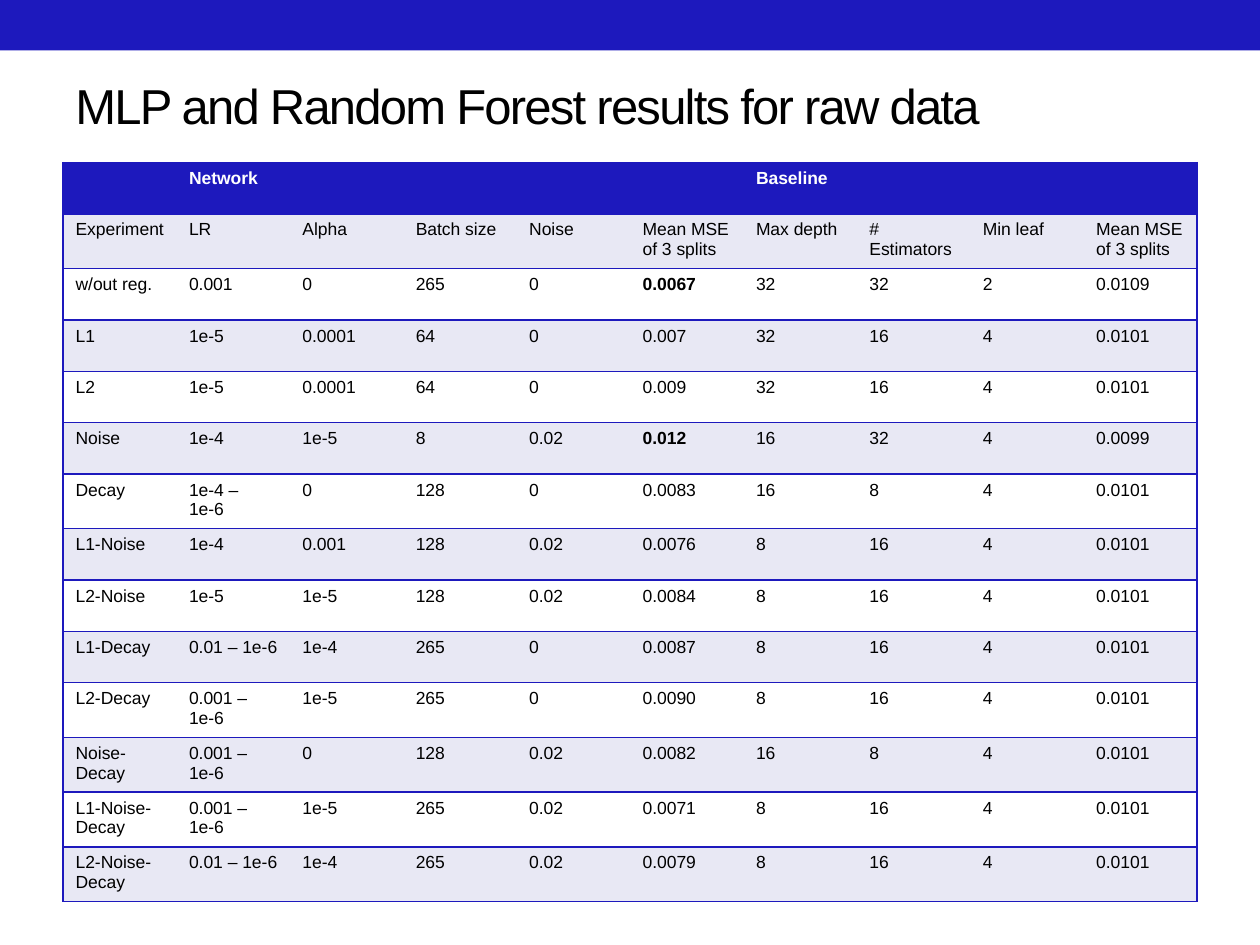
"""Build a slide with a table of MLP and Random Forest results."""
from lxml.etree import SubElement
from pptx import Presentation
from pptx.dml.color import RGBColor
from pptx.enum.shapes import MSO_SHAPE
from pptx.enum.text import MSO_ANCHOR
from pptx.oxml.ns import qn
from pptx.util import Inches, Pt

BLUE = RGBColor(0x1D, 0x19, 0xBD)
LAVENDER = RGBColor(0xE8, 0xE8, 0xF4)
WHITE = RGBColor(0xFF, 0xFF, 0xFF)
BLACK = RGBColor(0x00, 0x00, 0x00)
FONT = "Arial"
NO_STYLE = "{2D5ABB26-0587-4C30-8999-92F81FD0307C}"

GROUPS = [("Network", 1, 5), ("Baseline", 6, 9)]
HEADINGS = ["Experiment", "LR", "Alpha", "Batch size", "Noise", "Mean MSE of 3 splits",
            "Max depth", "# Estimators", "Min leaf", "Mean MSE of 3 splits"]
RESULTS = [
    ["w/out reg.", "0.001", "0", "265", "0", "0.0067", "32", "32", "2", "0.0109"],
    ["L1", "1e-5", "0.0001", "64", "0", "0.007", "32", "16", "4", "0.0101"],
    ["L2", "1e-5", "0.0001", "64", "0", "0.009", "32", "16", "4", "0.0101"],
    ["Noise", "1e-4", "1e-5", "8", "0.02", "0.012", "16", "32", "4", "0.0099"],
    ["Decay", "1e-4 – 1e-6", "0", "128", "0", "0.0083", "16", "8", "4", "0.0101"],
    ["L1-Noise", "1e-4", "0.001", "128", "0.02", "0.0076", "8", "16", "4", "0.0101"],
    ["L2-Noise", "1e-5", "1e-5", "128", "0.02", "0.0084", "8", "16", "4", "0.0101"],
    ["L1-Decay", "0.01 – 1e-6", "1e-4", "265", "0", "0.0087", "8", "16", "4", "0.0101"],
    ["L2-Decay", "0.001 – 1e-6", "1e-5", "265", "0", "0.0090", "8", "16", "4", "0.0101"],
    ["Noise-Decay", "0.001 – 1e-6", "0", "128", "0.02", "0.0082", "16", "8", "4", "0.0101"],
    ["L1-Noise-Decay", "0.001 – 1e-6", "1e-5", "265", "0.02", "0.0071", "8", "16", "4", "0.0101"],
    ["L2-Noise-Decay", "0.01 – 1e-6", "1e-4", "265", "0.02", "0.0079", "8", "16", "4", "0.0101"],
]
HIGHLIGHTS = {"0.0067", "0.012"}


def format_text(text_frame, size, color, bold=False):
    for paragraph in text_frame.paragraphs:
        for run in paragraph.runs:
            run.font.name = FONT
            run.font.size = Pt(size)
            run.font.bold = bold
            run.font.color.rgb = color


def add_banner(slide):
    banner = slide.shapes.add_shape(MSO_SHAPE.RECTANGLE, 0, 0, Inches(10), Inches(0.4))
    banner.shadow.inherit = False
    banner.fill.solid()
    banner.fill.fore_color.rgb = BLUE
    banner.line.fill.background()


def add_title(slide, text):
    title = slide.shapes.add_textbox(Inches(0.5), Inches(0.54), Inches(9), Inches(0.58))
    frame = title.text_frame
    frame.word_wrap = True
    frame.vertical_anchor = MSO_ANCHOR.MIDDLE
    frame.text = text
    format_text(frame, 28, BLACK)
    frame.paragraphs[0].runs[0].font._element.set("spc", "-100")


def set_borders(cell, sides):
    properties = cell._tc.get_or_add_tcPr()
    for side in sides:
        border = SubElement(properties, qn(f"a:ln{side}"), w=str(Pt(1)))
        fill = SubElement(border, qn("a:solidFill"))
        SubElement(fill, qn("a:srgbClr"), val=str(BLUE))


def style_cell(cell, sides, fill, color, bold):
    set_borders(cell, sides)
    cell.fill.solid()
    cell.fill.fore_color.rgb = fill
    format_text(cell.text_frame, 10, color, bold)


def add_results_table(slide):
    group_row = [""] * len(HEADINGS)
    for label, first, _ in GROUPS:
        group_row[first] = label
    rows = [group_row, HEADINGS, *RESULTS]
    last = len(HEADINGS) - 1
    table = slide.shapes.add_table(len(rows), len(HEADINGS), Inches(0.5), Inches(1.29),
                                   Inches(9), Inches(5.71)).table
    table._tbl.tblPr.find(qn("a:tableStyleId")).text = NO_STYLE

    for _, first, end in GROUPS:
        table.cell(0, first).merge(table.cell(0, end))
    for row, values in enumerate(rows):
        is_group = row == 0
        fill = BLUE if is_group else LAVENDER if row % 2 else WHITE
        color = WHITE if is_group else BLACK
        for column, value in enumerate(values):
            cell = table.cell(row, column)
            cell.text = value
            closes_row = column == last or (is_group and column == GROUPS[-1][1])
            sides = ("L" if column == 0 else "") + ("R" if closes_row else "") + "TB"
            style_cell(cell, sides, fill, color, is_group or value in HIGHLIGHTS)


def main():
    presentation = Presentation()
    presentation.slide_width = Inches(10)
    presentation.slide_height = Inches(7.5)
    slide = presentation.slides.add_slide(presentation.slide_layouts[6])
    add_banner(slide)
    add_title(slide, "MLP and Random Forest results for raw data")
    add_results_table(slide)
    presentation.save("out.pptx")


if __name__ == "__main__":
    main()
